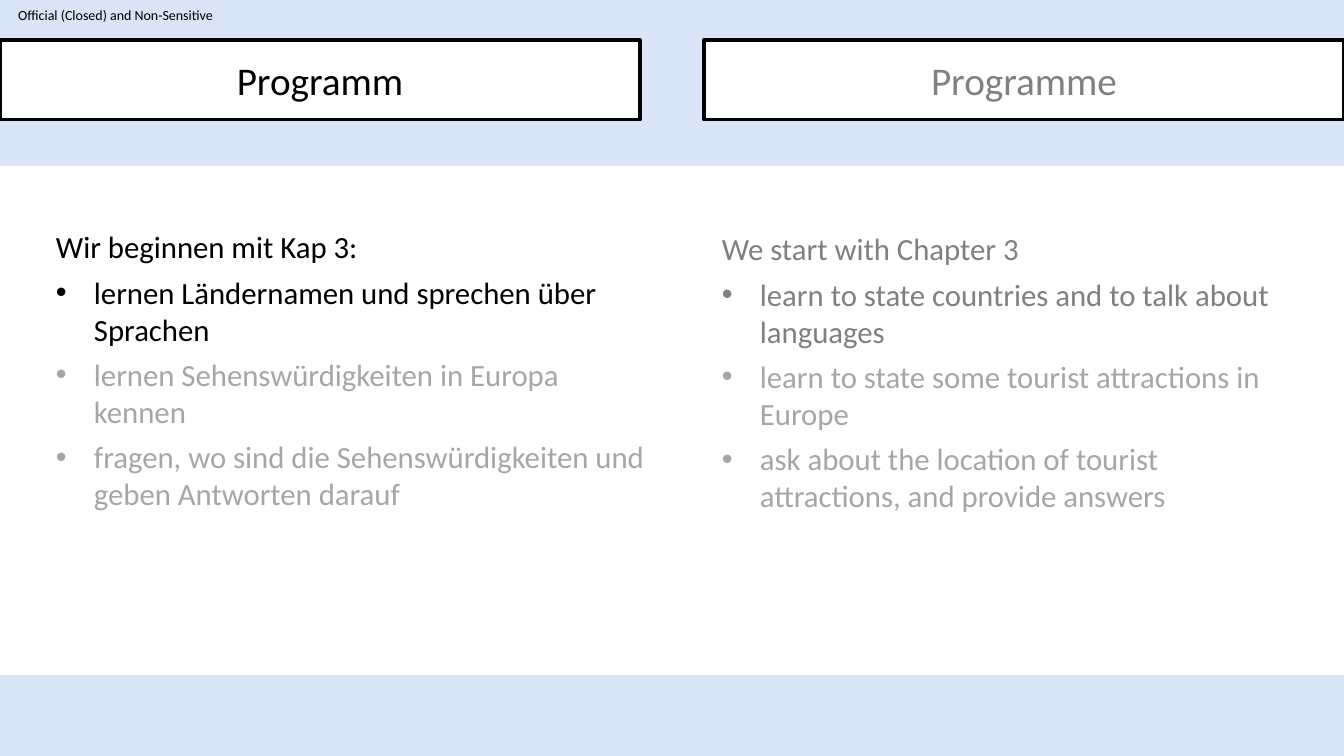
from dataclasses import dataclass

from lxml import etree
from pptx import Presentation
from pptx import util as u
from pptx.dml.color import RGBColor
from pptx.enum import shapes, text
from pptx.oxml.ns import qn

EMU_PER_PX = 12192000 / 1344
FONT = "Calibri"
COLOURS = {
    "sky": "D9E4F6",
    "white": "FFFFFF",
    "black": "000000",
    "grey": "808080",
    "pale": "A6A6A6",
}


@dataclass(frozen=True)
class Box:
    left: int
    top: int
    width: int
    height: int


@dataclass(frozen=True)
class Programme:
    heading: str
    heading_box: Box
    intro: str
    current_goal: str
    later_goals: tuple[str, ...]
    goals_box: Box
    colour: str


PROGRAMMES = (
    Programme(
        "Programm",
        Box(0, 40, 640, 80),
        "Wir beginnen mit Kap 3:",
        "lernen Ländernamen und sprechen über Sprachen",
        (
            "lernen Sehenswürdigkeiten in Europa kennen",
            "fragen, wo sind die Sehenswürdigkeiten und geben Antworten darauf",
        ),
        Box(46, 223, 613, 297),
        "black",
    ),
    Programme(
        "Programme",
        Box(704, 40, 640, 80),
        "We start with Chapter 3",
        "learn to state countries and to talk about languages",
        (
            "learn to state some tourist attractions in Europe",
            "ask about the location of tourist attractions, and provide answers",
        ),
        Box(712, 225, 573, 297),
        "grey",
    ),
)


def px(length: int) -> u.Emu:
    return u.Emu(round(length * EMU_PER_PX))


def place(box: Box) -> tuple[u.Emu, ...]:
    return px(box.left), px(box.top), px(box.width), px(box.height)


def rgb(colour: str) -> RGBColor:
    return RGBColor.from_string(COLOURS[colour])


def add_run(paragraph, wording: str, size: int, colour: str) -> None:
    run = paragraph.add_run()
    run.text = wording
    run.font.name = FONT
    run.font.size = u.Pt(size)
    run.font.color.rgb = rgb(colour)


def add_panel(slide, box: Box):
    panel = slide.shapes.add_shape(shapes.MSO_SHAPE.RECTANGLE, *place(box))
    panel.shadow.inherit = False
    panel.fill.solid()
    panel.fill.fore_color.rgb = rgb("white")
    panel.line.fill.background()
    return panel


def add_marking(slide) -> None:
    marking = slide.shapes.add_textbox(*place(Box(0, 0, 231, 29))).text_frame
    marking.margin_left = marking.margin_right = 0
    marking.margin_top = marking.margin_bottom = 0
    marking.word_wrap = True
    marking.vertical_anchor = text.MSO_ANCHOR.MIDDLE
    marking.paragraphs[0].alignment = text.PP_ALIGN.CENTER
    add_run(marking.paragraphs[0], "Official (Closed) and Non-Sensitive", 10, "black")


def add_heading(slide, programme: Programme) -> None:
    heading = add_panel(slide, programme.heading_box)
    heading.line.color.rgb = rgb("black")
    heading.line.width = u.Pt(2.25)
    heading.text_frame.vertical_anchor = text.MSO_ANCHOR.MIDDLE
    title = heading.text_frame.paragraphs[0]
    title.alignment = text.PP_ALIGN.CENTER
    add_run(title, programme.heading, 28, programme.colour)


def set_bullet(paragraph) -> None:
    properties = paragraph._p.get_or_add_pPr()
    properties.set("marL", str(px(38)))
    properties.set("indent", str(-px(38)))
    etree.SubElement(properties, qn("a:buFont"), typeface="Arial")
    etree.SubElement(properties, qn("a:buChar"), char="•")


def add_goals(slide, programme: Programme) -> None:
    goals = slide.shapes.add_textbox(*place(programme.goals_box)).text_frame
    goals.word_wrap = True
    intro = goals.paragraphs[0]
    intro.space_before = u.Pt(6)
    add_run(intro, programme.intro, 22, programme.colour)
    coloured_goals = [(programme.current_goal, programme.colour)]
    coloured_goals += [(goal, "pale") for goal in programme.later_goals]
    for wording, colour in coloured_goals:
        goal = goals.add_paragraph()
        goal.space_before = u.Pt(6)
        set_bullet(goal)
        add_run(goal, wording, 22, colour)


def main() -> None:
    deck = Presentation()
    deck.slide_width, deck.slide_height = px(1344), px(756)
    slide = deck.slides.add_slide(deck.slide_layouts[6])
    slide.background.fill.solid()
    slide.background.fill.fore_color.rgb = rgb("sky")

    add_marking(slide)
    add_panel(slide, Box(0, 166, 1344, 509))
    for programme in PROGRAMMES:
        add_goals(slide, programme)
    for programme in PROGRAMMES:
        add_heading(slide, programme)

    deck.save("out.pptx")


if __name__ == "__main__":
    main()
